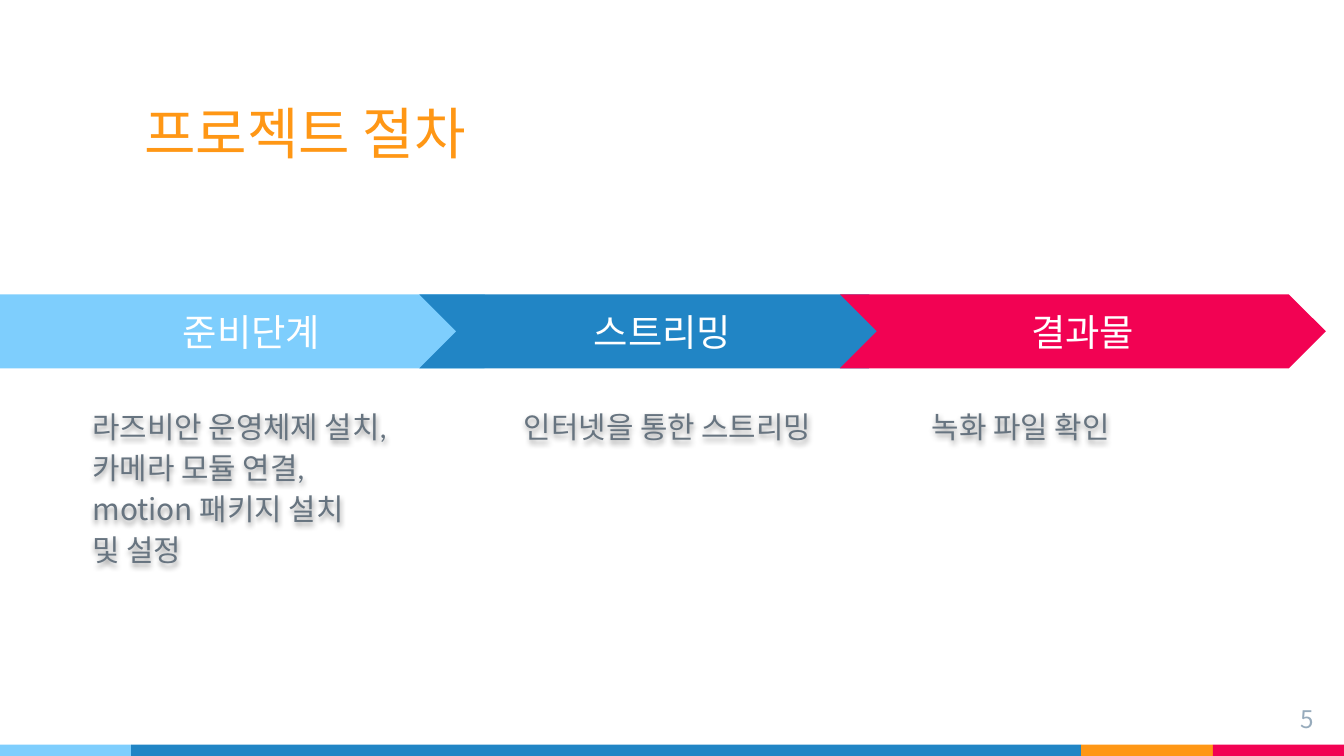
from dataclasses import dataclass
from lxml.etree import SubElement
from pptx import Presentation
from pptx.dml.color import RGBColor
from pptx.enum.shapes import MSO_SHAPE
from pptx.enum.text import MSO_ANCHOR, MSO_AUTO_SIZE, PP_ALIGN
from pptx.oxml import parse_xml
from pptx.oxml.ns import nsdecls, qn
from pptx.util import Pt

SCALE = 4572  # EMU per px, 200 px to the inch


@dataclass(frozen=True)
class Theme:
    sky: str = "7ECEFD"
    blue: str = "2185C5"
    orange: str = "FF9715"
    red: str = "F20253"
    white: str = "FFFFFF"
    text: str = "677480"
    pale: str = "97ABBC"
    title: int = 30
    step: int = 20
    body: int = 16
    page: int = 13
    sans: str = "Noto Sans CJK KR"
    lato: str = "Lato"
    man: str = "Manrope"


T = Theme()


def px(*sizes):
    return [size * SCALE for size in sizes]


def style(font, size, color, name):
    font.size = Pt(size)
    font.color.rgb = RGBColor.from_string(color)
    font.name = name


def write(frame, lines, size, color, name=T.sans, align=PP_ALIGN.LEFT,
          anchor=MSO_ANCHOR.TOP, space=1.0):
    frame.word_wrap = True
    frame.auto_size = MSO_AUTO_SIZE.NONE
    frame.vertical_anchor = anchor
    frame.margin_left = frame.margin_right = px(20)[0]
    frame.margin_top = frame.margin_bottom = px(20)[0]
    for i, line in enumerate(lines):
        para = frame.add_paragraph() if i else frame.paragraphs[0]
        para.alignment = align
        para.line_spacing = space
        # A line is plain text, or a list of (text, font) runs
        parts = [(line, name)] if isinstance(line, str) else line
        for text, face in parts:
            run = para.add_run()
            run.text = text
            if face != name:
                run.font.name = face
        style(para.font, size, color, name)
        # Korean glyphs take the East Asian face
        east = SubElement(para._p.pPr.find(qn("a:defRPr")), qn("a:ea"))
        east.set("typeface", T.sans)


def block(slide, kind, box, color):
    shape = slide.shapes.add_shape(kind, *px(*box))
    shape.shadow.inherit = False
    shape.fill.solid()
    shape.fill.fore_color.rgb = RGBColor.from_string(color)
    shape.line.fill.background()
    return shape


def label(slide, box, lines, size, color, **more):
    shape = slide.shapes.add_textbox(*px(*box))
    write(shape.text_frame, lines, size, color, **more)
    return shape


def shade(shape):
    shape._element.spPr.append(parse_xml(
        f'<a:effectLst {nsdecls("a")}>'
        '<a:outerShdw blurRad="38100" dist="25400" dir="5400000" algn="t">'
        '<a:srgbClr val="000000"><a:alpha val="40000"/></a:srgbClr>'
        '</a:outerShdw></a:effectLst>'))


def step(slide, kind, left, width, color, name, face):
    shape = block(slide, kind, (left, 438, width, 110), color)
    shape.adjustments[0] = 0.5
    write(shape.text_frame, [name], T.step, T.white, face,
          PP_ALIGN.CENTER, MSO_ANCHOR.MIDDLE)


def notes(slide, left, width, lines, face):
    shade(label(slide, (left, 580, width, 430), lines, T.body, T.text,
                name=face, space=1.15))


def main():
    deck = Presentation()
    deck.slide_width, deck.slide_height = px(2000, 1125)
    slide = deck.slides.add_slide(deck.slide_layouts.get_by_name("Title Only"))

    # Footer band
    left = 0
    for width, color in ((195, T.sky), (1414, T.blue),
                         (196, T.orange), (195, T.red)):
        block(slide, MSO_SHAPE.RECTANGLE, (left, 1108, width, 17), color)
        left += width

    # Title
    title = slide.shapes.title
    title.left, title.top, title.width, title.height = px(195, 78, 1414, 188)
    write(title.text_frame, ["프로젝트 절차"], T.title, T.orange,
          anchor=MSO_ANCHOR.BOTTOM)

    # Process arrows
    step(slide, MSO_SHAPE.PENTAGON, 0, 776, T.sky, "준비단계", T.sans)
    step(slide, MSO_SHAPE.CHEVRON, 624, 724, T.blue, "스트리밍", T.sans)
    step(slide, MSO_SHAPE.CHEVRON, 1250, 723, T.red, "결과물", T.man)

    # Details under each arrow
    setup = ["라즈비안 운영체제 설치,", "카메라 모듈 연결,",
             [("motion ", T.sans), ("패키지 설치", T.lato)], "및 설정"]
    notes(slide, 118, 526, setup, T.lato)
    notes(slide, 760, 490, ["인터넷을 통한 스트리밍"], T.sans)
    notes(slide, 1367, 490, ["녹화 파일 확인"], T.sans)

    # Page number
    label(slide, (1855, 1028, 120, 68), ["5"], T.page, T.pale,
          align=PP_ALIGN.RIGHT)

    deck.save("out.pptx")


if __name__ == "__main__":
    main()
